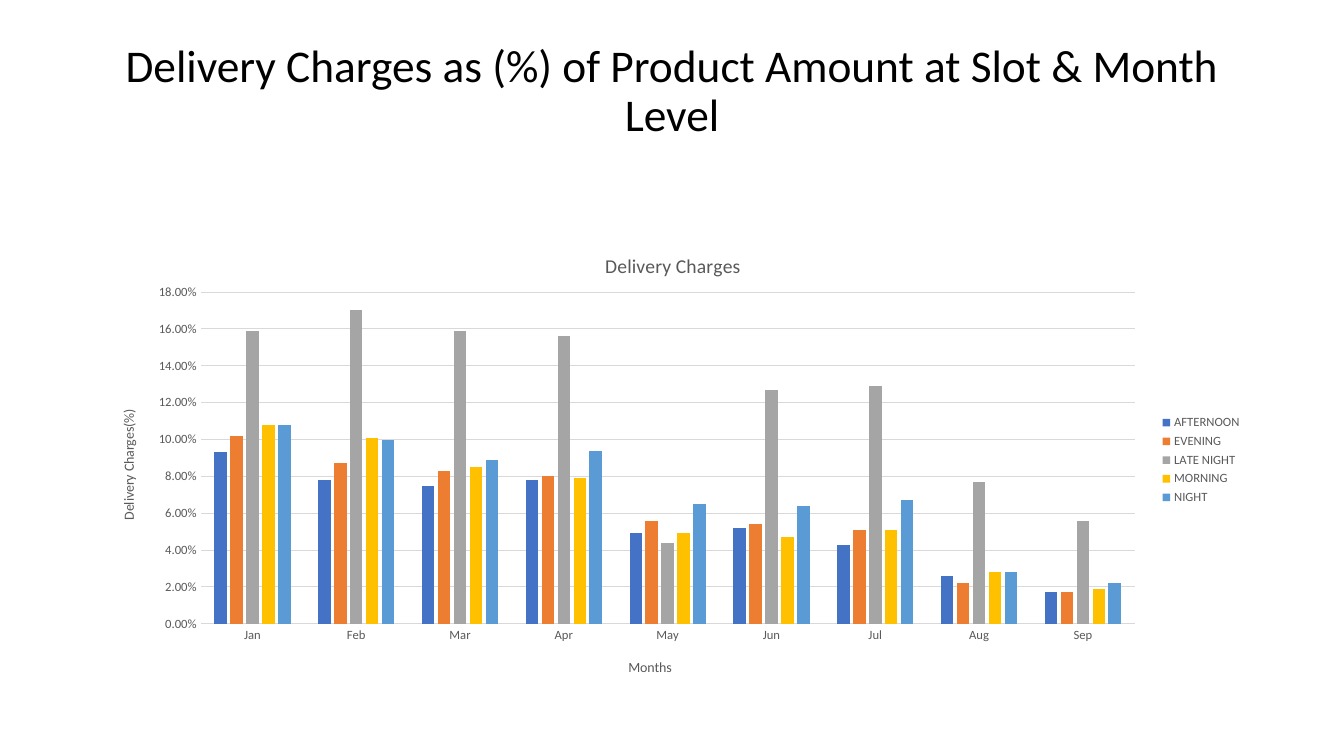
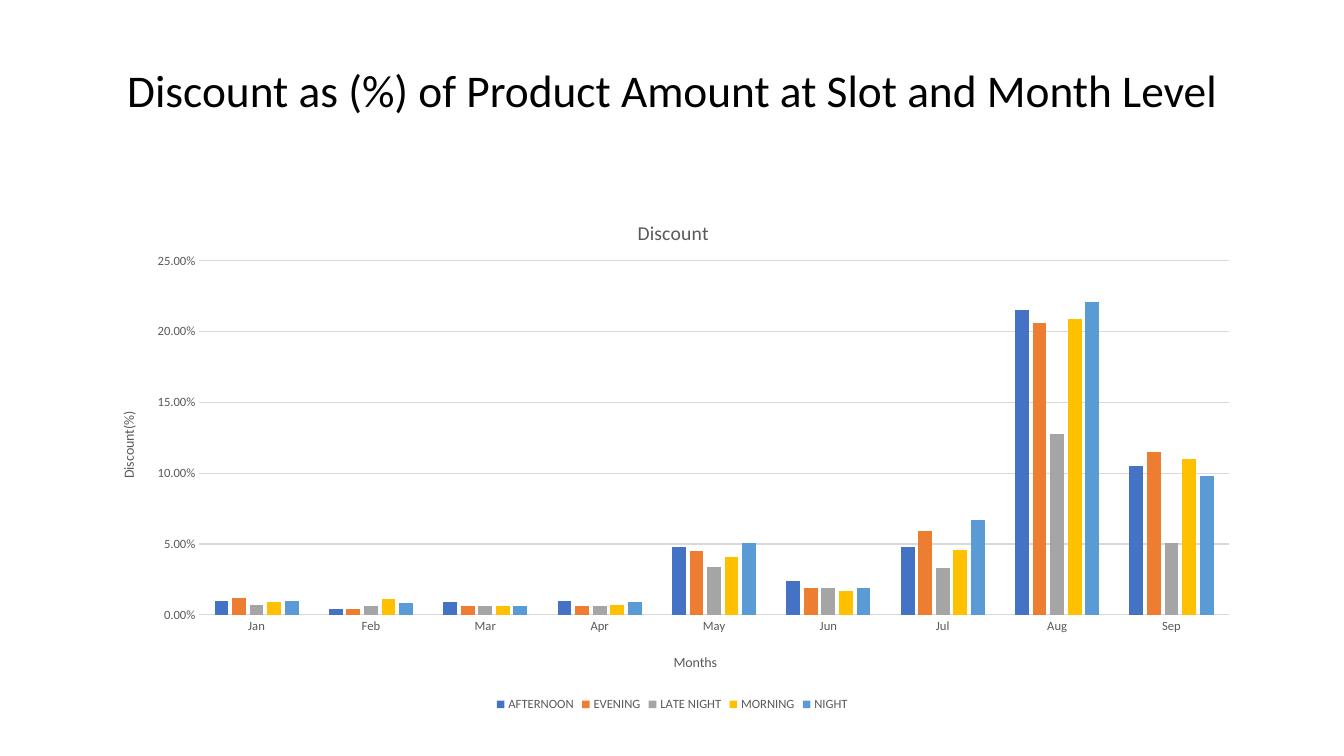
import pptx
import pptx.chart.data
import pptx.dml.color
import pptx.enum.chart
import pptx.enum.text
import pptx.oxml
import pptx.oxml.ns
import pptx.util

FONT = "Calibri"
COLORS = {
    "title": "000000",
    "label": "595959",
    "rule": "D9D9D9",
    "AFTERNOON": "4472C4",
    "EVENING": "ED7D31",
    "LATE NIGHT": "A5A5A5",
    "MORNING": "FFC000",
    "NIGHT": "5B9BD5",
}
MONTHS = ["Jan", "Feb", "Mar", "Apr", "May", "Jun", "Jul", "Aug", "Sep"]
LEGEND = pptx.enum.chart.XL_LEGEND_POSITION

topics = [
    {
        "headline": "Delivery Charges as (%) of Product Amount at Slot & Month Level",
        "headline_area": (5.1, 5.87, 89.8, 12.8),
        "measure": "Delivery Charges",
        "chart_area": (6.9, 30, 86.25, 61.73),
        "plot_area": (9.3, 14, 80.6, 71.1),
        "measure_at": (43.9, 4.6),
        "months_at": (46, 92),
        "percent_at": (2.1, 38.6),
        "top_and_step": (0.18, 0.02),
        "legend": LEGEND.RIGHT,
        "slots": {
            "AFTERNOON": [9.3, 7.8, 7.5, 7.8, 4.9, 5.2, 4.3, 2.6, 1.7],
            "EVENING": [10.2, 8.7, 8.3, 8, 5.6, 5.4, 5.1, 2.2, 1.7],
            "LATE NIGHT": [15.9, 17, 15.9, 15.6, 4.4, 12.7, 12.9, 7.7, 5.6],
            "MORNING": [10.8, 10.1, 8.5, 7.9, 4.9, 4.7, 5.1, 2.8, 1.9],
            "NIGHT": [10.8, 10, 8.9, 9.4, 6.5, 6.4, 6.7, 2.8, 2.2],
        },
    },
    {
        "headline": "Discount as (%) of Product Amount at Slot and Month Level",
        "headline_area": (6.9, 5.33, 86.25, 14),
        "measure": "Discount",
        "chart_area": (6.9, 25.6, 86.25, 69.07),
        "plot_area": (9.2, 12.9, 88.8, 67.8),
        "measure_at": (46.7, 4.3),
        "months_at": (49.9, 87.5),
        "percent_at": (2.1, 41.3),
        "top_and_step": (0.25, 0.05),
        "legend": LEGEND.BOTTOM,
        "slots": {
            "AFTERNOON": [1, 0.4, 0.9, 1, 4.8, 2.4, 4.8, 21.5, 10.5],
            "EVENING": [1.2, 0.4, 0.6, 0.6, 4.5, 1.9, 5.9, 20.6, 11.5],
            "LATE NIGHT": [0.7, 0.6, 0.6, 0.6, 3.4, 1.9, 3.3, 12.8, 5.1],
            "MORNING": [0.9, 1.1, 0.6, 0.7, 4.1, 1.7, 4.6, 20.9, 11],
            "NIGHT": [1, 0.8, 0.6, 0.9, 5.1, 1.9, 6.7, 22.1, 9.8],
        },
    },
]


def style_font(font, size, color):
    font.name = FONT
    font.size = pptx.util.Pt(size)
    font.bold = False
    font.color.rgb = pptx.dml.color.RGBColor.from_string(COLORS[color])


def place_part(element, position, shares):
    for old_layout in element.findall(pptx.oxml.ns.qn("c:layout")):
        element.remove(old_layout)
    target = '<c:layoutTarget val="inner"/>' if len(shares) == 4 else ""
    modes = '<c:xMode val="edge"/><c:yMode val="edge"/>'
    sizes = "".join(
        f'<c:{side} val="{share / 100:.3f}"/>' for side, share in zip("xywh", shares)
    )
    layout = pptx.oxml.parse_xml(
        f'<c:layout {pptx.oxml.ns.nsdecls("c")}><c:manualLayout>'
        f"{target}{modes}{sizes}</c:manualLayout></c:layout>"
    )
    element.insert(position, layout)


deck = pptx.Presentation()
deck.slide_width = pptx.util.Inches(13.33)
deck.slide_height = pptx.util.Inches(7.5)
percent_sides = [deck.slide_width / 100, deck.slide_height / 100] * 2

for topic in topics:
    slide = deck.slides.add_slide(deck.slide_layouts[6])
    headline_area, chart_area = (
        [int(share * side) for share, side in zip(topic[area], percent_sides)]
        for area in ("headline_area", "chart_area")
    )

    headline = slide.shapes.add_textbox(*headline_area).text_frame
    headline.word_wrap = True
    headline.vertical_anchor = pptx.enum.text.MSO_ANCHOR.MIDDLE
    line = headline.paragraphs[0]
    line.alignment = pptx.enum.text.PP_ALIGN.CENTER
    line.line_spacing = 0.9
    words = line.add_run()
    words.text = topic["headline"]
    style_font(words.font, 32.4, "title")

    figures = pptx.chart.data.CategoryChartData(number_format="0.00%")
    figures.categories = MONTHS
    for slot, percents in topic["slots"].items():
        figures.add_series(slot, [round(percent / 100, 3) for percent in percents])
    chart = slide.shapes.add_chart(
        pptx.enum.chart.XL_CHART_TYPE.COLUMN_CLUSTERED, *chart_area, figures
    ).chart
    style_font(chart.font, 10, "title")

    columns = chart.plots[0]
    columns.gap_width = 219
    columns.overlap = -27
    columns.vary_by_categories = False
    for slot_columns in columns.series:
        slot_columns.format.fill.solid()
        slot_columns.format.fill.fore_color.rgb = pptx.dml.color.RGBColor.from_string(
            COLORS[slot_columns.name]
        )

    months, percents = chart.category_axis, chart.value_axis
    for axis in (months, percents):
        axis.major_tick_mark = pptx.enum.chart.XL_TICK_MARK.NONE
        axis.minor_tick_mark = pptx.enum.chart.XL_TICK_MARK.NONE
        style_font(axis.tick_labels.font, 9, "label")
    percents.maximum_scale, percents.major_unit = topic["top_and_step"]
    percents.minimum_scale = 0
    percents.tick_labels.number_format = "0.00%"
    percents.tick_labels.number_format_is_linked = False
    percents.format.line.fill.background()
    percents.has_major_gridlines = True
    for rule in (months.format.line, percents.major_gridlines.format.line):
        rule.width = pptx.util.Pt(0.75)
        rule.color.rgb = pptx.dml.color.RGBColor.from_string(COLORS["rule"])

    chart.has_legend = True
    chart.legend.position = topic["legend"]
    chart.legend.include_in_layout = False
    style_font(chart.legend.font, 9, "label")

    for caption, wording, size, corner in (
        (chart.chart_title, topic["measure"], 14, "measure_at"),
        (months.axis_title, "Months", 10, "months_at"),
        (percents.axis_title, topic["measure"] + "(%)", 10, "percent_at"),
    ):
        words = caption.text_frame.paragraphs[0].add_run()
        words.text = wording
        style_font(words.font, size, "label")
        place_part(caption.element, 1, topic[corner])
    place_part(chart.element.chart.plotArea, 0, topic["plot_area"])

deck.save("out.pptx")
